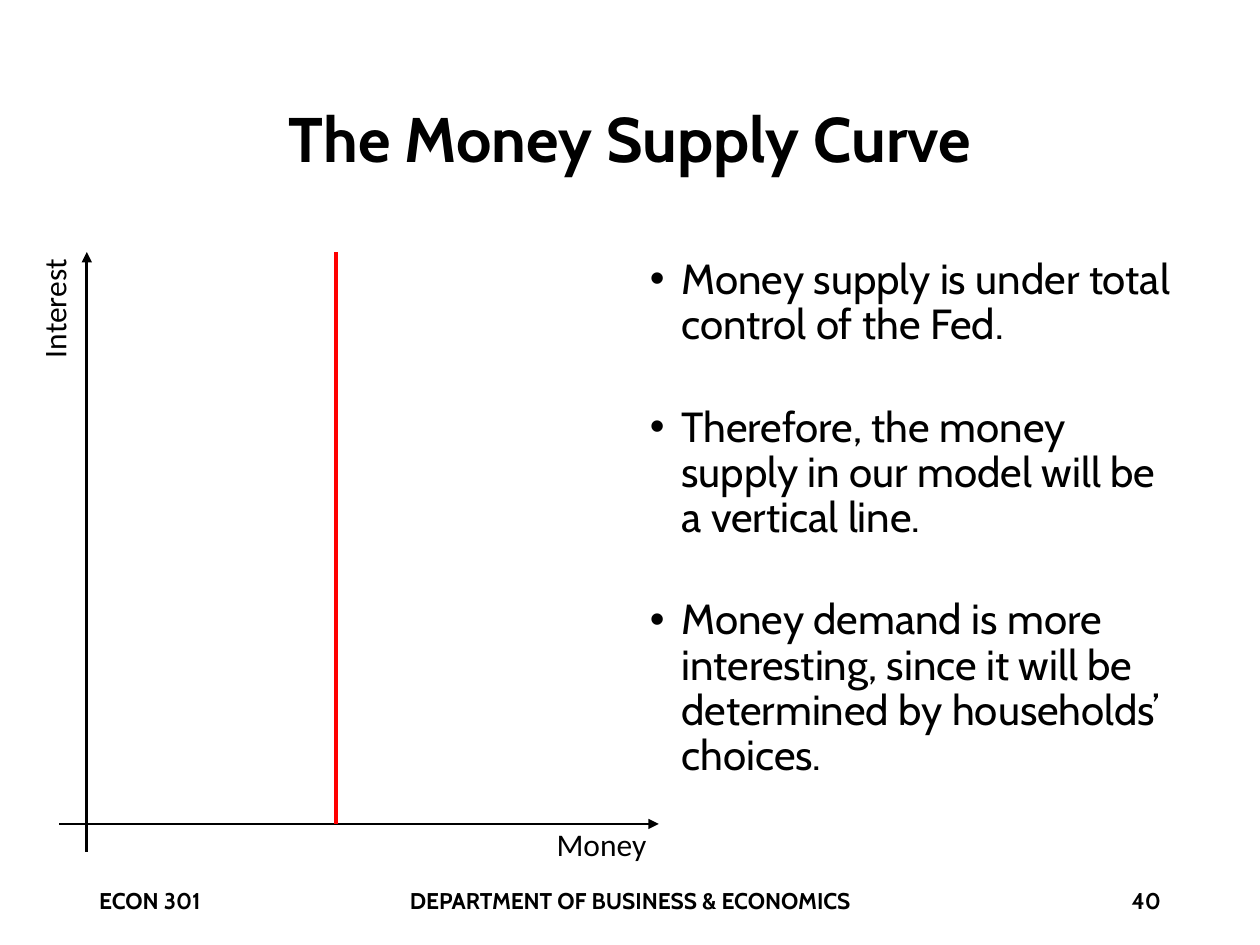
from lxml.etree import SubElement as Sub
from pptx import Presentation
from pptx.dml.color import RGBColor
from pptx.enum.shapes import MSO_CONNECTOR as Link
from pptx.enum.text import MSO_ANCHOR as Anchor, PP_ALIGN as Align
from pptx.oxml.ns import qn
from pptx.util import Cm, Pt

BLACK, RED = "000000", "FF0000"
LEFT, WIDE = 1.75, 21.9
TOP, BASE, OVER = 5.08, 16.61, 0.56
POINTS = (
    "Money supply is under total control of the Fed.",
    "Therefore, the money supply in our model will be a vertical line.",
    "Money demand is more interesting, since it will be determined by "
    "households’ choices.",
)


def color(code):
    return RGBColor.from_string(code)


def add_box(slide, x, y, w, h, anchor=Anchor.TOP, wrap=True):
    box = slide.shapes.add_textbox(Cm(x), Cm(y), Cm(w), Cm(h))
    frame = box.text_frame
    frame.word_wrap = wrap
    frame.vertical_anchor = anchor
    return frame


def add_run(para, text, size, face="Cabin", bold=False):
    run = para.add_run()
    run.text = text
    font = run.font
    font.name, font.size, font.bold = face, Pt(size), bold
    font.color.rgb = color(BLACK)


def add_label(frame, text, size, align=Align.LEFT, **style):
    para = frame.paragraphs[0]
    para.alignment = align
    add_run(para, text, size, **style)
    return para


def add_bullets(frame, items):
    for i, item in enumerate(items):
        para = frame.add_paragraph() if i else frame.paragraphs[0]
        para.line_spacing = 0.9
        para.space_before = Pt(32.5 if i else 0)
        props = para._p.get_or_add_pPr()
        props.set("marL", str(Cm(0.64)))
        props.set("indent", str(Cm(-0.64)))
        Sub(props, qn("a:buFont"), typeface="Arial")
        Sub(props, qn("a:buChar"), char="•")
        add_run(para, item, 24)


def add_line(slide, start, end, code, width, arrow=False):
    ends = [Cm(v) for v in (*start, *end)]
    line = slide.shapes.add_connector(Link.STRAIGHT, *ends)
    line.line.color.rgb = color(code)
    line.line.width = Pt(width)
    if arrow:
        Sub(line.line._get_or_add_ln(), qn("a:tailEnd"), type="triangle")
    Sub(line._element.spPr, qn("a:effectLst"))


def add_graph(slide):
    add_line(slide, (LEFT, BASE + OVER), (LEFT, TOP), BLACK, 1.5, True)
    add_line(slide, (LEFT - OVER, BASE), (13.28, BASE), BLACK, 1.5, True)
    add_line(slide, (6.78, TOP), (6.78, BASE), RED, 2.25)
    side = add_box(slide, 0.58, 5.21, 1.27, 2.26, wrap=False)
    side._txBody.bodyPr.set("vert", "vert270")
    add_label(side, "Interest", 18, face="Calibri")
    foot = add_box(slide, 10.97, 16.51, 2.34, 1.02)
    add_label(foot, "Money", 18, face="Calibri")


def add_footer(slide):
    for x, w, text, align in (
        (LEFT, 5.72, "ECON 301", Align.LEFT),
        (4.7, 16, "DEPARTMENT OF BUSINESS & ECONOMICS", Align.CENTER),
        (LEFT + WIDE - 5.72, 5.72, "40", Align.RIGHT),
    ):
        frame = add_box(slide, x, 17.65, w, 1.02, Anchor.MIDDLE)
        add_label(frame, text, 13, align, bold=True)


def main():
    deck = Presentation()
    deck.slide_width, deck.slide_height = Cm(25.4), Cm(19.05)
    slide = deck.slides.add_slide(deck.slide_layouts[6])
    head = add_box(slide, LEFT, 1.02, WIDE, 3.68, Anchor.MIDDLE)
    title = add_label(head, "The Money Supply Curve", 36, Align.CENTER, bold=True)
    title.line_spacing = 0.9
    add_bullets(add_box(slide, 12.85, TOP, 11.05, 12.09), POINTS)
    add_footer(slide)
    add_graph(slide)
    deck.save("out.pptx")


if __name__ == "__main__":
    main()
